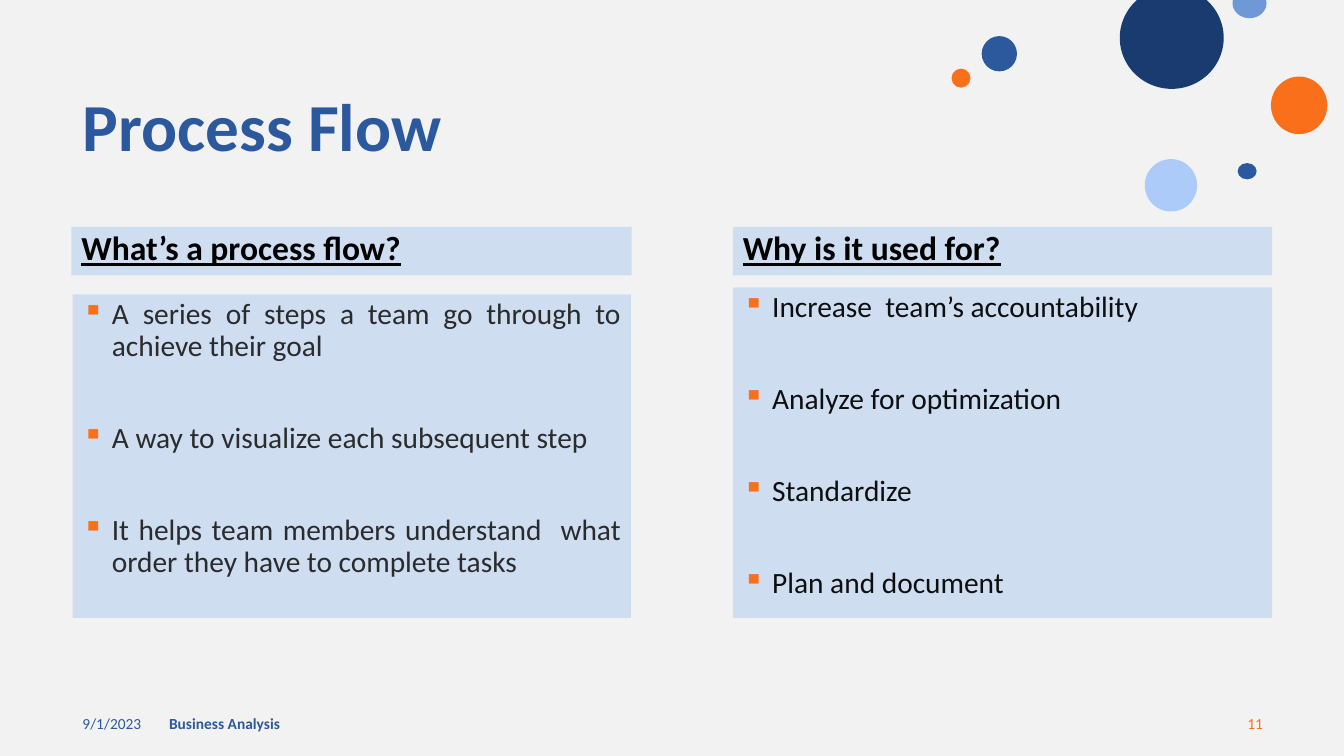
"""Build the Process Flow slide."""
from dataclasses import dataclass

from lxml.etree import SubElement
from pptx import Presentation
from pptx.dml.color import RGBColor
from pptx.enum.shapes import MSO_SHAPE
from pptx.enum.text import MSO_ANCHOR, PP_ALIGN
from pptx.oxml.ns import qn
from pptx.util import Cm, Pt

INKS = {
    "paper": "F2F2F2", "panel": "CFDDF1", "blue": "2C599D", "navy": "1A3B70",
    "orange": "FA6F1A", "pale": "ACCBF9", "sky": "6E98D6",
    "black": "000000", "grey": "2A2B2C", "dark": "0D0E10",
}
OVAL, DISC = MSO_SHAPE.OVAL, MSO_SHAPE.FLOWCHART_CONNECTOR
LEFT, RIGHT, FULL = PP_ALIGN.LEFT, PP_ALIGN.RIGHT, PP_ALIGN.JUSTIFY


@dataclass(frozen=True)
class Box:
    """Place and size in centimetres."""
    left: float
    top: float
    width: float
    height: float

    def cm(self) -> tuple:
        """Return the four lengths."""
        return Cm(self.left), Cm(self.top), Cm(self.width), Cm(self.height)


@dataclass(frozen=True)
class Style:
    """Look of a text."""
    size: int
    ink: str
    bold: bool = False
    line: bool = False
    align: PP_ALIGN = LEFT
    space: float = 0.9


@dataclass(frozen=True)
class Dot:
    """Round shape of the corner pattern."""
    box: Box
    ink: str
    kind: MSO_SHAPE = OVAL


@dataclass(frozen=True)
class Panel:
    """Heading bar above a bullet list."""
    title: str
    bar: Box
    items: tuple
    body: Box
    ink: str


@dataclass(frozen=True)
class Note:
    """Footer text."""
    text: str
    box: Box
    style: Style


DOTS = (
    Dot(Box(28.85, 4.01, 1.32, 1.32), "pale"),
    Dot(Box(24.74, 0.91, 0.89, 0.89), "blue"),
    Dot(Box(23.98, 1.73, 0.48, 0.48), "orange"),
    Dot(Box(32.03, 1.93, 1.42, 1.45), "orange", DISC),
    Dot(Box(28.22, -0.33, 2.62, 2.57), "navy", DISC),
    Dot(Box(31.19, 4.11, 0.48, 0.41), "blue", DISC),
    Dot(Box(31.06, -0.3, 0.86, 0.76), "sky"),
)
PANELS = (
    Panel("What’s a process flow?", Box(1.8, 5.72, 14.12, 1.22),
          ("A series of steps a team go through to achieve their goal",
           "A way to visualize each subsequent step",
           "It helps team members understand  what order they have to complete tasks"),
          Box(1.83, 7.42, 14.07, 8.15), "grey"),
    Panel("Why is it used for?", Box(18.47, 5.72, 13.59, 1.22),
          ("Increase  team’s accountability", "Analyze for optimization",
           "Standardize", "Plan and document"),
          Box(18.47, 7.24, 13.59, 8.33), "dark"),
)
NOTES = (
    Note("9/1/2023", Box(1.83, 17.73, 7.62, 1.02), Style(11, "blue", space=1)),
    Note("Business Analysis", Box(4.01, 17.73, 11.43, 1.02),
         Style(11, "blue", bold=True, space=1)),
    Note("11", Box(24.46, 17.73, 7.62, 1.02),
         Style(11, "orange", align=RIGHT, space=1)),
)


def tint(name: str) -> RGBColor:
    """Look up a colour."""
    return RGBColor.from_string(INKS[name])


def write(frame, lines: tuple, style: Style, anchor=MSO_ANCHOR.TOP) -> None:
    """Fill a text frame and format its runs."""
    frame.word_wrap = True
    frame.vertical_anchor = anchor
    frame.text = "\n".join(lines)
    for para in frame.paragraphs:
        para.alignment = style.align
        para.line_spacing = style.space
        for run in para.runs:
            font = run.font
            font.name, font.size = "Calibri", Pt(style.size)
            font.bold, font.underline = style.bold, style.line
            font.color.rgb = tint(style.ink)


def mark(frame) -> None:
    """Give each paragraph a square bullet and set the gaps."""
    for rank, para in enumerate(frame.paragraphs):
        props = para._p.get_or_add_pPr()
        props.set("marL", str(Cm(0.74)))
        props.set("indent", str(-Cm(0.74)))
        shade = SubElement(props, qn("a:buClr"))
        SubElement(shade, qn("a:srgbClr")).set("val", INKS["orange"])
        SubElement(props, qn("a:buChar")).set("char", "▪")
        if rank:
            para.space_before = Pt(43)


def draw(slide, kind: MSO_SHAPE, box: Box, ink: str):
    """Add a flat filled shape."""
    shape = slide.shapes.add_shape(kind, *box.cm())
    shape.shadow.inherit = False
    shape.fill.solid()
    shape.fill.fore_color.rgb = tint(ink)
    shape.line.fill.background()
    return shape


def fill(slide, panel: Panel) -> None:
    """Draw a heading bar and its list."""
    bar = draw(slide, MSO_SHAPE.RECTANGLE, panel.bar, "panel")
    write(bar.text_frame, (panel.title,), Style(24, "black", bold=True, line=True))
    body = draw(slide, MSO_SHAPE.RECTANGLE, panel.body, "panel")
    write(body.text_frame, panel.items, Style(21, panel.ink, align=FULL))
    mark(body.text_frame)


def main() -> None:
    """Build and save the deck."""
    deck = Presentation()
    deck.slide_width, deck.slide_height = Cm(33.87), Cm(19.05)
    slide = deck.slides.add_slide(deck.slide_layouts[5])
    slide.background.fill.solid()
    slide.background.fill.fore_color.rgb = tint("paper")
    title = slide.shapes.title
    title.left, title.top, title.width, title.height = Box(1.83, 2.24, 11.89, 2.31).cm()
    write(title.text_frame, ("Process Flow",), Style(48, "blue", bold=True))
    for note in NOTES:
        label = slide.shapes.add_textbox(*note.box.cm())
        write(label.text_frame, (note.text,), note.style, MSO_ANCHOR.MIDDLE)
    for panel in PANELS:
        fill(slide, panel)
    for dot in DOTS:
        draw(slide, dot.kind, dot.box, dot.ink)
    deck.save("out.pptx")


if __name__ == "__main__":
    main()
